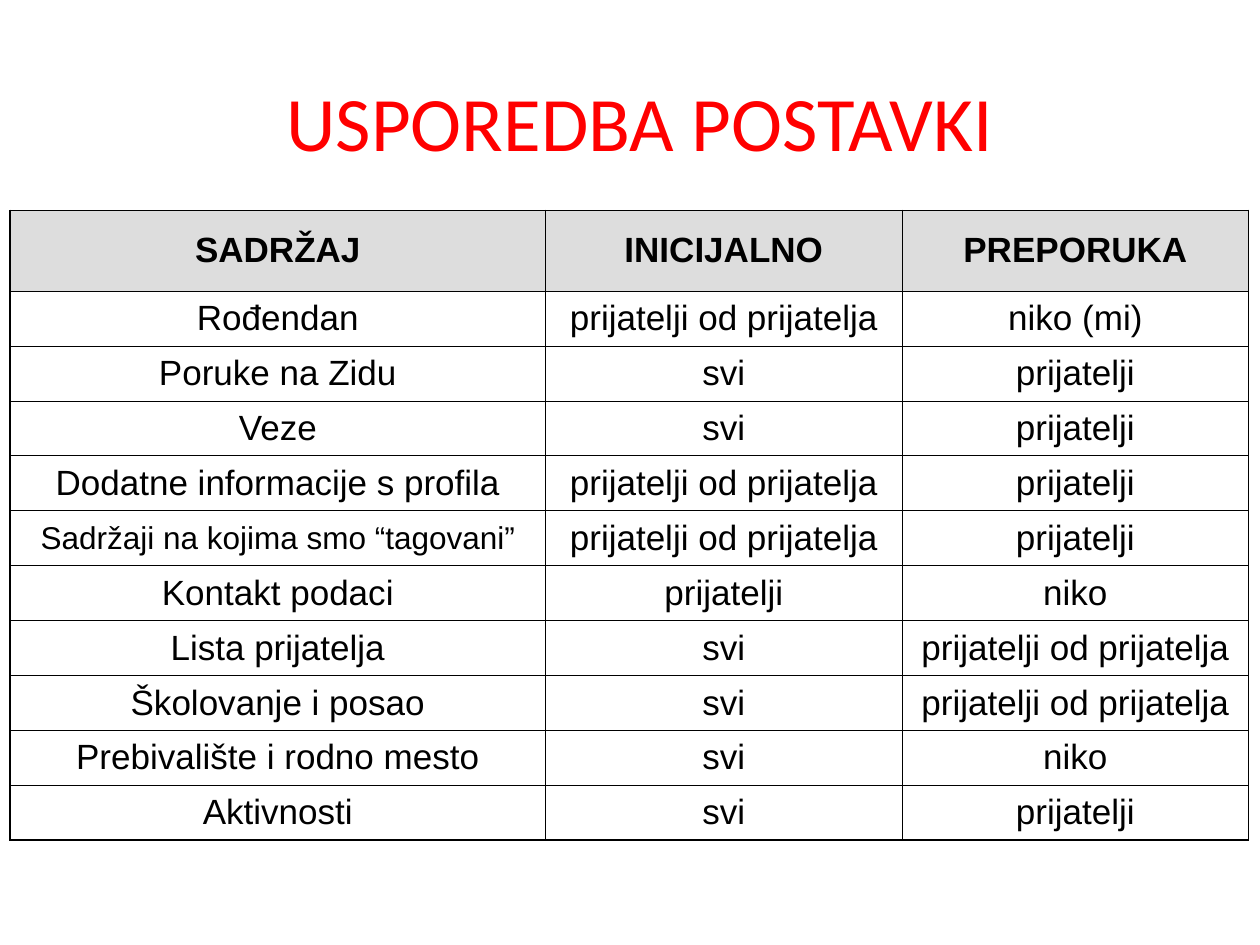
from lxml import etree
from pptx import Presentation
from pptx import util as u
from pptx.dml import color
from pptx.enum import text
from pptx.oxml import ns

HEADINGS = ("SADRŽAJ", "INICIJALNO", "PREPORUKA")
SETTINGS = (
    ("Rođendan", "prijatelji od prijatelja", "niko (mi)"),
    ("Poruke na Zidu", "svi", "prijatelji"),
    ("Veze", "svi", "prijatelji"),
    ("Dodatne informacije s profila", "prijatelji od prijatelja", "prijatelji"),
    ("Sadržaji na kojima smo “tagovani”", "prijatelji od prijatelja", "prijatelji"),
    ("Kontakt podaci", "prijatelji", "niko"),
    ("Lista prijatelja", "svi", "prijatelji od prijatelja"),
    ("Školovanje i posao", "svi", "prijatelji od prijatelja"),
    ("Prebivalište i rodno mesto", "svi", "niko"),
    ("Aktivnosti", "svi", "prijatelji"),
)
COLUMN_WIDTHS = (4.25, 2.83, 2.75)
HEADER_HEIGHT = 0.64
OUTER_LINE, INNER_LINE = 1.08, 0.45
LONG_LABEL = 30


def rgb(value):
    return color.RGBColor.from_string(value)


def style_paragraph(paragraph, font_name, size, hex_color, bold=False):
    paragraph.alignment = text.PP_ALIGN.CENTER
    paragraph.font.name = font_name
    paragraph.font.size = u.Pt(size)
    paragraph.font.bold = bold
    paragraph.font.color.rgb = rgb(hex_color)


def set_border(cell, side, width, hex_color):
    properties = cell._tc.get_or_add_tcPr()
    line = etree.SubElement(properties, ns.qn(f"a:ln{side}"), w=str(u.Pt(width)))
    fill = etree.SubElement(line, ns.qn("a:solidFill"))
    etree.SubElement(fill, ns.qn("a:srgbClr"), val=hex_color)


def add_title(slide, left, top, width, height):
    title = slide.shapes.title
    title.left, title.top = u.Inches(left), u.Inches(top)
    title.width, title.height = u.Inches(width), u.Inches(height)
    title.text_frame.text = "USPOREDBA POSTAVKI"
    title.text_frame.vertical_anchor = text.MSO_ANCHOR.MIDDLE
    style_paragraph(title.text_frame.paragraphs[0], "Calibri", 44, "FF0000")


def format_cell(cell, label, is_header, outer_sides):
    cell.text = label
    cell.vertical_anchor = text.MSO_ANCHOR.MIDDLE
    size = 18 if len(label) > LONG_LABEL else 20
    paragraph = cell.text_frame.paragraphs[0]
    style_paragraph(paragraph, "Arial", size, "000000", bold=is_header)
    paragraph.space_before = u.Pt(size / 4)
    for side, is_outer in outer_sides.items():
        set_border(cell, side, OUTER_LINE if is_outer else INNER_LINE, "000000")
    if is_header:
        cell.fill.solid()
        cell.fill.fore_color.rgb = rgb("DDDDDD")
    else:
        cell.fill.background()


def add_settings_table(slide, left, top, width, height):
    rows = (HEADINGS,) + SETTINGS
    last_row, last_column = len(rows) - 1, len(HEADINGS) - 1
    table = slide.shapes.add_table(
        len(rows), len(HEADINGS),
        u.Inches(left), u.Inches(top), u.Inches(width), u.Inches(height),
    ).table
    table.first_row = table.horz_banding = False
    for column, column_width in zip(table.columns, COLUMN_WIDTHS):
        column.width = u.Inches(column_width)
    body_height = (height - HEADER_HEIGHT) / len(SETTINGS)
    for row_index, labels in enumerate(rows):
        is_header = row_index == 0
        table.rows[row_index].height = u.Inches(HEADER_HEIGHT if is_header else body_height)
        for column_index, label in enumerate(labels):
            outer_sides = {
                "L": column_index == 0,
                "R": column_index == last_column,
                "T": is_header,
                "B": row_index == last_row,
            }
            format_cell(table.cell(row_index, column_index), label, is_header, outer_sides)


def main():
    presentation = Presentation()
    presentation.slide_width, presentation.slide_height = u.Inches(10), u.Inches(7.5)
    slide = presentation.slides.add_slide(presentation.slide_layouts.get_by_name("Title Only"))
    add_title(slide, 0.58, 0.33, 9, 1.25)
    add_settings_table(slide, 0.08, 1.67, sum(COLUMN_WIDTHS), 5)
    presentation.save("out.pptx")


if __name__ == "__main__":
    main()
